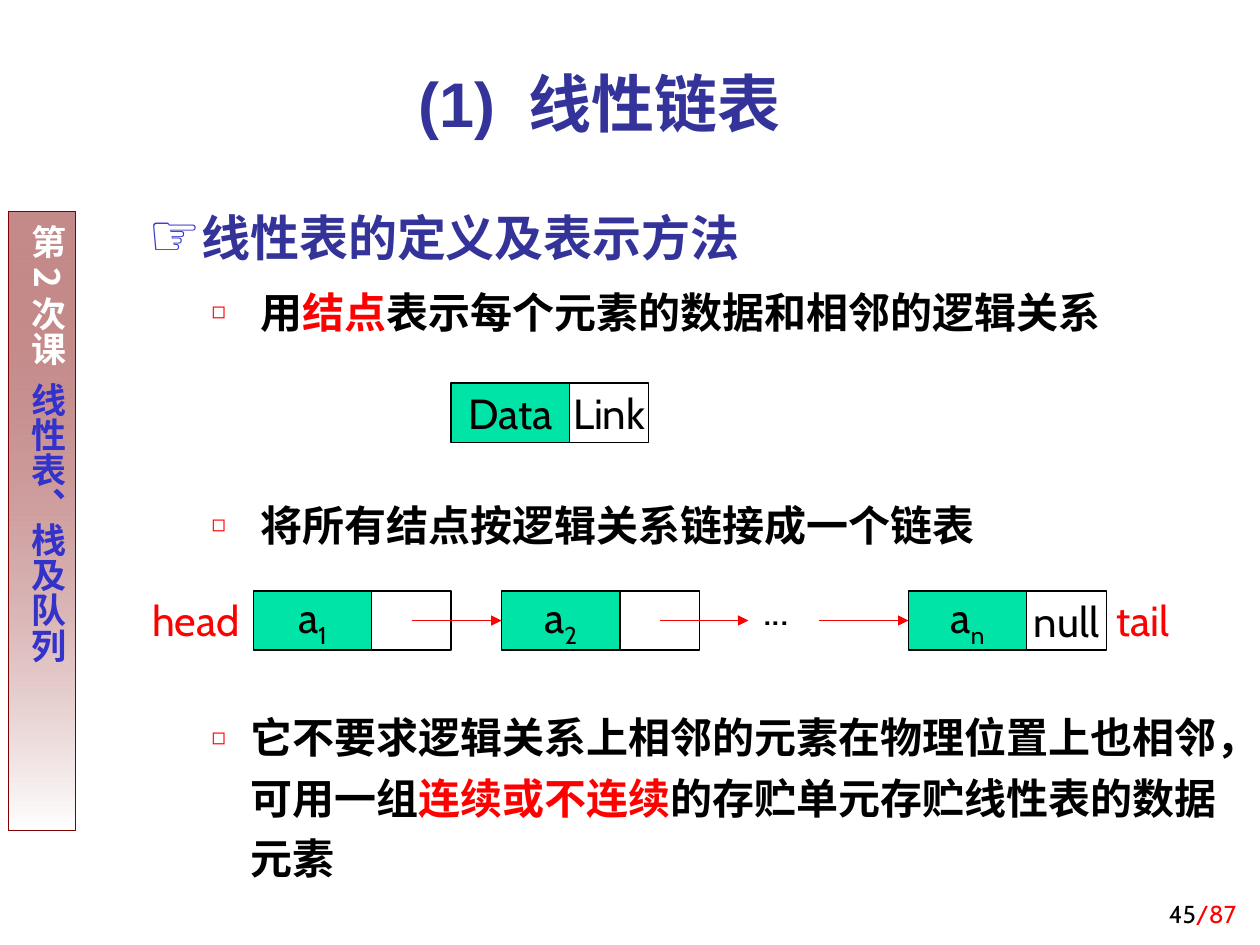
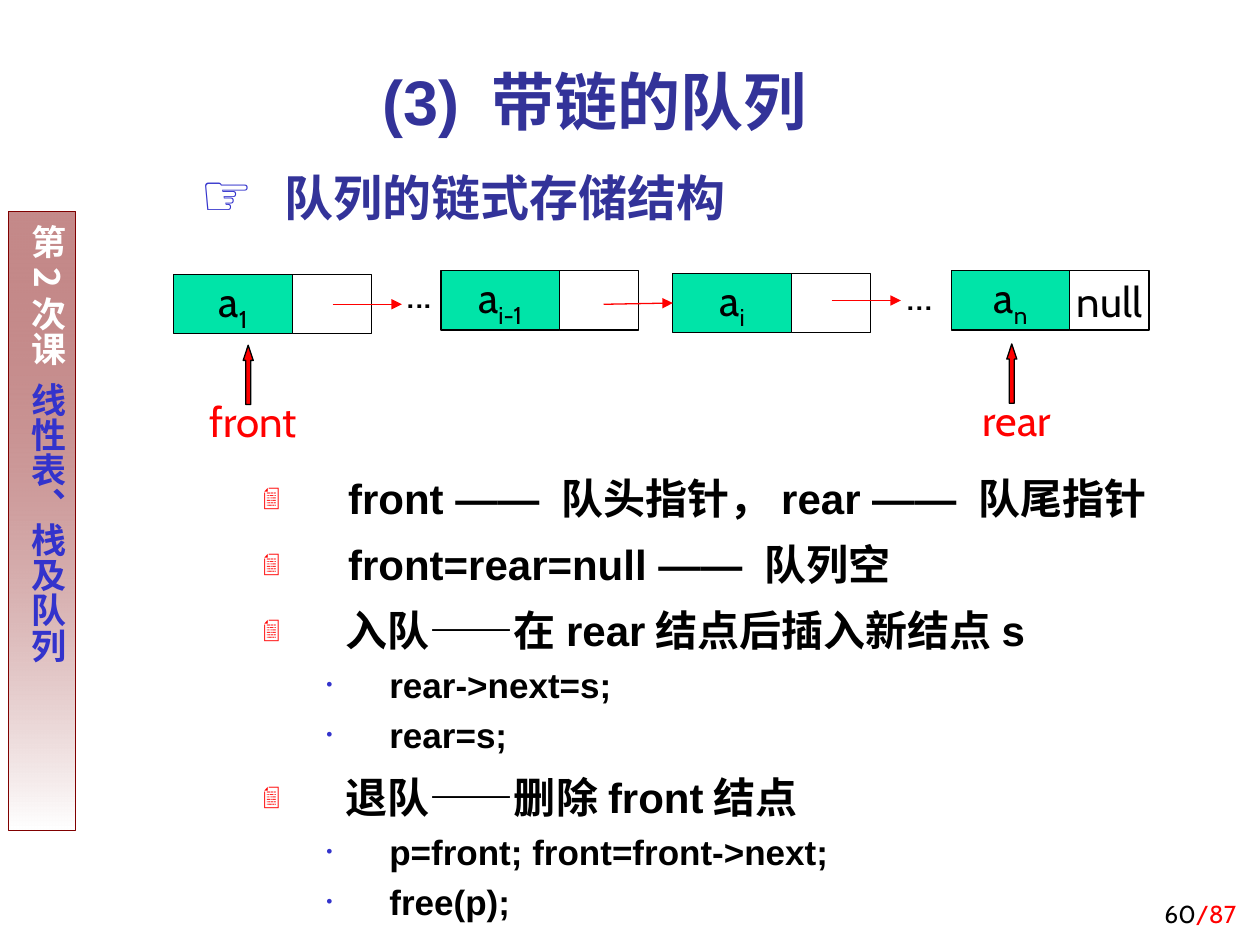
"""Build two lecture slides on linked lists and linked queues."""
import lxml.etree
import pptx
import pptx.dml.color
import pptx.enum.shapes
import pptx.enum.text
import pptx.oxml.ns
import pptx.util

Inches, Pt = pptx.util.Inches, pptx.util.Pt
qn = pptx.oxml.ns.qn
Shapes = pptx.enum.shapes.MSO_SHAPE
Align = pptx.enum.text.PP_ALIGN
Anchor = pptx.enum.text.MSO_ANCHOR
Fit = pptx.enum.text.MSO_AUTO_SIZE

COLOURS = {
    "black": "000000", "white": "FFFFFF", "red": "FF0000", "maroon": "800000",
    "heading": "333399", "blue": "3333CC", "green": "00E4A8",
}
CJK_FONT = "Noto Sans CJK SC"
TITLE_STYLE = {"name": "Arial", "size": Pt(36), "bold": True}
BAND_STYLE = {"name": CJK_FONT, "size": Pt(20), "bold": True}
DIAGRAM_STYLE = {"name": "Cabin", "size": Pt(24)}
NUMBER_STYLE = {"name": "Cabin", "size": Pt(14)}
SUBSCRIPT = ("baseline", "-25000")
WIDE_SPACE = ("spc", "450")
DATA_WIDTH, LINK_WIDTH, NODE_HEIGHT = 0.94, 0.63, 0.47
PAGE_TOTAL = "/87"

PAGES = [
    {
        "number": "45",
        "title": "(1) 线性链表",
        "title_frame": (1.61, 0.44, 6.3, 0.72),
        "body_frame": (1.08, 1.5, 8.71, 5.64),
        "body_font": "Cabin",
        "line_spacing": 1.2,
        "levels": [
            (0.38, 0.38, 28, "☞", "blue", 120),
            (0.81, 0.31, 24, "◻", "red", 55),
        ],
        "items": [
            (0, 0, [("线性表的定义及表示方法", "heading")]),
            (1, 6, [(" 用", "black"), ("结点", "red"),
                    ("表示每个元素的数据和相邻的逻辑关系", "black")]),
            (1, 87, [(" 将所有结点按逻辑关系链接成一个链表", "black")]),
            (1, 87, [("它不要求逻辑关系上相邻的元素在物理位置上也相邻，可用一组", "black"),
                     ("连续或不连续", "red"),
                     ("的存贮单元存贮线性表的数据元素", "black")]),
        ],
        "nodes": [
            (3.58, 3.04, "Data", "", "Link"),
            (2.01, 4.69, "a", "1", ""),
            (3.98, 4.69, "a", "2", ""),
            (7.21, 4.69, "a", "n", "null"),
        ],
        "arrows": [(3.27, 3.98, 4.69, 2), (5.24, 5.94, 4.69, None), (6.5, 7.21, 4.69, 3)],
        "labels": [
            ("...", 5.96, 4.58, 0.47, "black", Align.LEFT),
            ("head", 1.11, 4.67, 0.98, "red", Align.LEFT),
            ("tail", 8.76, 4.67, 0.68, "red", Align.LEFT),
        ],
        "pointers": [],
    },
    {
        "number": "60",
        "title": "(3) 带链的队列",
        "title_frame": (1.69, 0.28, 6.06, 0.87),
        "body_frame": (1.49, 1.23, 7.76, 6.19),
        "body_font": "Arial",
        "line_spacing": 1.1,
        "levels": [
            (0.67, 0.67, 28, "☞", "blue", 120),
            (1.08, 0.58, 24, "📄", "red", 55),
            (1.5, 0.5, 20, "•", "blue", 50),
        ],
        "items": [
            (0, 0, [("队列的链式存储结构", "heading")]),
            (1, 138, [(" front —— 队头指针，rear —— 队尾指针", "black")]),
            (1, 6, [(" front=rear=null —— 队列空", "black")]),
            (1, 6, [(" 入队——在rear结点后插入新结点s", "black")]),
            (2, 2.5, [("rear->next=s;", "black")]),
            (2, 2.5, [("rear=s;", "black")]),
            (1, 6, [(" 退队——删除front结点", "black")]),
            (2, 2.5, [("p=front; front=front->next;", "black")]),
            (2, 2.5, [("free(p);", "black")]),
        ],
        "nodes": [
            (1.38, 2.18, "a", "1", ""),
            (3.5, 2.15, "a", "i-1", ""),
            (5.34, 2.17, "a", "i", ""),
            (7.55, 2.15, "a", "n", "null"),
        ],
        "arrows": [(2.64, 3.19, 2.18, None), (4.79, 5.34, 2.18, 2), (6.6, 7.15, 2.15, None)],
        "labels": [
            ("...", 3.13, 2.07, 0.47, "black", Align.LEFT),
            ("...", 7.1, 2.08, 0.47, "black", Align.LEFT),
            ("front", 1.46, 3.09, 1.1, "red", Align.CENTER),
            ("rear", 7.52, 3.08, 1.1, "red", Align.CENTER),
        ],
        "pointers": [(1.93, 2.74), (7.99, 2.73)],
    },
]


def write(para, spans, style):
    for text, colour, *marks in spans:
        span = para.add_run()
        span.text = text
        for name, value in style.items():
            setattr(span.font, name, value)
        span.font.color.rgb = pptx.dml.color.RGBColor.from_string(COLOURS[colour])
        properties = span.font._element
        properties.find(qn("a:latin")).addnext(
            properties.makeelement(qn("a:ea"), {"typeface": CJK_FONT}))
        for mark in marks:
            properties.set(*mark)


def add_block(page, kind, frame, fill, line="black"):
    block = page.shapes.add_shape(kind, *map(Inches, frame))
    block.shadow.inherit = False
    block.line.color.rgb = pptx.dml.color.RGBColor.from_string(COLOURS[line])
    block.line.width = Pt(0.75)
    block.fill.solid()
    block.fill.fore_color.rgb = pptx.dml.color.RGBColor.from_string(COLOURS[fill])
    return block


deck = pptx.Presentation()
deck.slide_width, deck.slide_height = Inches(10), Inches(7.5)

for content in PAGES:
    page = deck.slides.add_slide(deck.slide_layouts[1])
    title, body = page.shapes.title, page.placeholders[1]
    for box, frame in ((title, content["title_frame"]), (body, content["body_frame"])):
        for side, length in zip(("left", "top", "width", "height"), frame):
            setattr(box, side, Inches(length))
        box.text_frame.auto_size = Fit.NONE
        box.text_frame.word_wrap = True
    title.text_frame.vertical_anchor = Anchor.BOTTOM
    para = title.text_frame.paragraphs[0]
    para.alignment = Align.CENTER
    write(para, [(content["title"], "heading")], TITLE_STYLE)

    for position, (level, gap, spans) in enumerate(content["items"]):
        frame = body.text_frame
        para = frame.add_paragraph() if position else frame.paragraphs[0]
        margin, hang, size, bullet, bullet_colour, percent = content["levels"][level]
        properties = para._p.get_or_add_pPr()
        properties.set("marL", str(Inches(margin)))
        properties.set("indent", str(-Inches(hang)))
        tint = lxml.etree.SubElement(properties, qn("a:buClr"))
        lxml.etree.SubElement(tint, qn("a:srgbClr"), val=COLOURS[bullet_colour])
        lxml.etree.SubElement(properties, qn("a:buSzPct"), val=str(percent * 1000))
        lxml.etree.SubElement(properties, qn("a:buFont"), typeface="Arial")
        lxml.etree.SubElement(properties, qn("a:buChar"), char=bullet)
        layout = {"level": level, "line_spacing": content["line_spacing"],
                  "space_before": Pt(gap), "space_after": Pt(0)}
        for name, value in layout.items():
            setattr(para, name, value)
        write(para, spans, {"name": content["body_font"], "size": Pt(size), "bold": True})

    band = add_block(page, Shapes.RECTANGLE, (0.07, 1.68, 0.53, 4.91), "white", "maroon")
    band.fill.gradient()
    band.fill.gradient_angle = 270
    for stop, colour in zip(band.fill.gradient_stops, ("maroon", "white")):
        stop.color.rgb = pptx.dml.color.RGBColor.from_string(COLOURS[colour])
    first_stop = band.element.spPr.find(qn("a:gradFill")).find(".//" + qn("a:srgbClr"))
    lxml.etree.SubElement(first_stop, qn("a:alpha"), val="46000")
    margins = {"margin_left": 0.05, "margin_top": 0.1, "margin_right": 0.05, "margin_bottom": 0.1}
    for name, value in margins.items():
        setattr(band.text_frame, name, Inches(value))
    band.text_frame.vertical_anchor = Anchor.TOP
    band.text_frame._txBody.bodyPr.set("vert", "eaVert")
    para = band.text_frame.paragraphs[0]
    para.alignment = Align.CENTER
    write(para, [("第2次课", "white"), (" ", "white", WIDE_SPACE),
                 ("线性表、栈及队列", "blue")], BAND_STYLE)

    number = page.shapes.add_textbox(*map(Inches, (7.83, 6.92, 2.08, 0.5)))
    number.text_frame.word_wrap = True
    number.text_frame.vertical_anchor = Anchor.BOTTOM
    para = number.text_frame.paragraphs[0]
    para.alignment = Align.RIGHT
    write(para, [(content["number"], "black"), (PAGE_TOTAL, "red")], NUMBER_STYLE)

    data_cells = []
    for left, top, name, index, link in content["nodes"]:
        data_spans = [(name, "black")] + ([(index, "black", SUBSCRIPT)] if index else [])
        link_spans = [(link, "black")] if link else []
        cells = [(left, DATA_WIDTH, "green", data_spans),
                 (left + DATA_WIDTH, LINK_WIDTH, "white", link_spans)]
        for cell_left, width, fill, spans in cells:
            cell = add_block(page, Shapes.RECTANGLE, (cell_left, top, width, NODE_HEIGHT), fill)
            cell.text_frame.word_wrap = False
            cell.text_frame.vertical_anchor = Anchor.MIDDLE
            para = cell.text_frame.paragraphs[0]
            para.alignment = Align.CENTER
            write(para, spans, DIAGRAM_STYLE)
            if fill == "green":
                data_cells.append(cell)

    for start, end, top, target in content["arrows"]:
        middle = top + NODE_HEIGHT / 2
        arrow = page.shapes.add_connector(
            pptx.enum.shapes.MSO_CONNECTOR.STRAIGHT,
            *map(Inches, (start, middle, end, middle)))
        if target is not None:
            arrow.end_connect(data_cells[target], 1)
        arrow.line.color.rgb = pptx.dml.color.RGBColor.from_string(COLOURS["red"])
        arrow.line.width = Pt(0.75)
        lxml.etree.SubElement(arrow.line._get_or_add_ln(), qn("a:tailEnd"), type="triangle")
        lxml.etree.SubElement(arrow.element.spPr, qn("a:effectLst"))

    for text, left, top, width, colour, alignment in content["labels"]:
        label = page.shapes.add_textbox(*map(Inches, (left, top, width, 0.5)))
        label.text_frame.word_wrap = False
        label.text_frame.auto_size = Fit.SHAPE_TO_FIT_TEXT
        para = label.text_frame.paragraphs[0]
        para.alignment = alignment
        write(para, [(text, colour)], DIAGRAM_STYLE)

    for left, top in content["pointers"]:
        pointer = add_block(page, Shapes.UP_ARROW, (left, top, 0.08, 0.47), "red")
        pointer.adjustments[0] = 0.5
        pointer.adjustments[1] = 1.51

deck.save("out.pptx")
